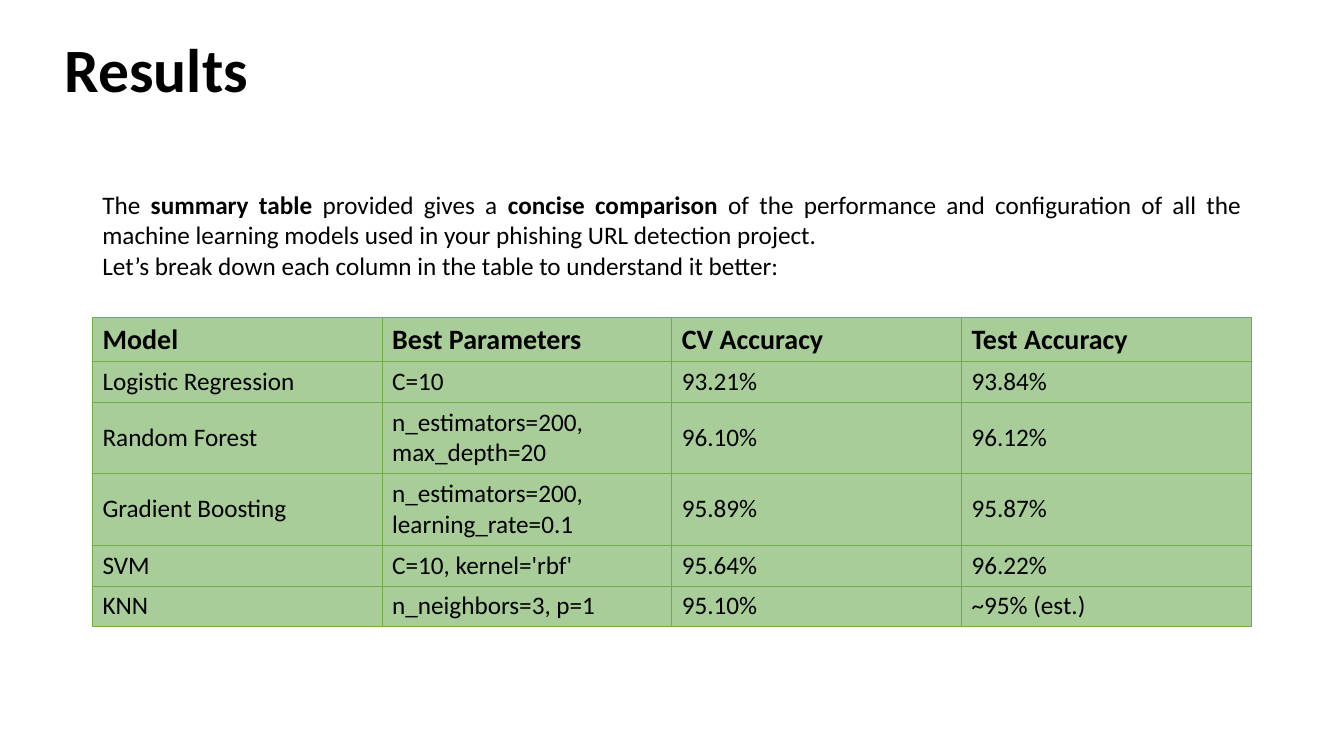
from lxml.etree import SubElement
from pptx import Presentation
from pptx.dml.color import RGBColor
from pptx.enum.text import MSO_ANCHOR, MSO_AUTO_SIZE, PP_ALIGN
from pptx.oxml.ns import qn
from pptx.util import Cm, Pt

BLACK = RGBColor(0x00, 0x00, 0x00)
GREEN = RGBColor(0x70, 0xAD, 0x47)
PALE = RGBColor(0xA9, 0xCD, 0x99)

BASE = {"name": "Calibri", "bold": False}
BODY = {**BASE, "size": Pt(18)}
HEAD = {**BASE, "size": Pt(20), "bold": True}
TITLE = {**BASE, "size": Pt(44), "bold": True}

LEFT, WIDTH = Cm(2.33), Cm(29.2)

# Each paragraph is a list of (text, bold) runs
INTRO = [
    [
        ("The ", False),
        ("summary table", True),
        (" provided gives a ", False),
        ("concise comparison", True),
        (" of the performance and configuration of all the machine learning "
         "models used in your phishing URL detection project.", False),
    ],
    [("Let’s break down each column in the table to understand it better:",
      False)],
]

SCORES = [
    ("Model", "Best Parameters", "CV Accuracy", "Test Accuracy"),
    ("Logistic Regression", "C=10", "93.21%", "93.84%"),
    ("Random Forest", "n_estimators=200, max_depth=20", "96.10%", "96.12%"),
    ("Gradient Boosting", "n_estimators=200, learning_rate=0.1",
     "95.89%", "95.87%"),
    ("SVM", "C=10, kernel='rbf'", "95.64%", "96.22%"),
    ("KNN", "n_neighbors=3, p=1", "95.10%", "~95% (est.)"),
]
HEIGHTS = [1.1, 1.03, 1.8, 1.8, 1.03, 1.03]


def style(item, values):
    for key, value in values.items():
        setattr(item, key, value)


def add_run(para, text, values):
    run = para.add_run()
    run.text = text
    style(run.font, values)
    run.font.color.rgb = BLACK


def set_title(slide, text):
    title = slide.shapes.title
    style(title, {"left": Cm(0), "top": Cm(0),
                  "width": WIDTH, "height": Cm(3.68)})
    frame = title.text_frame
    style(frame, {"vertical_anchor": MSO_ANCHOR.MIDDLE, "word_wrap": True,
                  "auto_size": MSO_AUTO_SIZE.NONE, "margin_left": Cm(1.63)})
    para = frame.paragraphs[0]
    style(para, {"alignment": PP_ALIGN.LEFT, "line_spacing": 0.9})
    add_run(para, text, TITLE)


def add_intro(slide, paras):
    box = slide.shapes.add_textbox(LEFT, Cm(4.65), WIDTH, Cm(2.57))
    frame = box.text_frame
    style(frame, {"word_wrap": True,
                  "auto_size": MSO_AUTO_SIZE.SHAPE_TO_FIT_TEXT})
    for i, runs in enumerate(paras):
        para = frame.add_paragraph() if i else frame.paragraphs[0]
        para.alignment = PP_ALIGN.JUSTIFY
        for text, bold in runs:
            add_run(para, text, {**BODY, "bold": bold})


def set_cell(cell, text, values):
    # Borders come before the fill in the cell properties
    props = cell._tc.get_or_add_tcPr()
    for side in ("a:lnL", "a:lnR", "a:lnT", "a:lnB"):
        line = SubElement(props, qn(side), w=str(Pt(0.5)))
        fill = SubElement(line, qn("a:solidFill"))
        SubElement(fill, qn("a:srgbClr"), val=str(GREEN))
    cell.fill.solid()
    cell.fill.fore_color.rgb = PALE
    cell.vertical_anchor = MSO_ANCHOR.MIDDLE
    add_run(cell.text_frame.paragraphs[0], text, values)


def add_scores(slide, rows):
    frame = slide.shapes.add_table(len(rows), len(rows[0]), LEFT, Cm(8),
                                   WIDTH, Cm(sum(HEIGHTS)))
    table = frame.table
    for r, (row, height) in enumerate(zip(rows, HEIGHTS)):
        table.rows[r].height = Cm(height)
        for c, text in enumerate(row):
            set_cell(table.cell(r, c), text, BODY if r else HEAD)


def main():
    deck = Presentation()
    style(deck, {"slide_width": Cm(33.87), "slide_height": Cm(19.05)})
    slide = deck.slides.add_slide(deck.slide_layouts[5])

    # Heading and introduction
    set_title(slide, "Results")
    add_intro(slide, INTRO)

    # Model comparison
    add_scores(slide, SCORES)
    deck.save("out.pptx")


if __name__ == "__main__":
    main()
